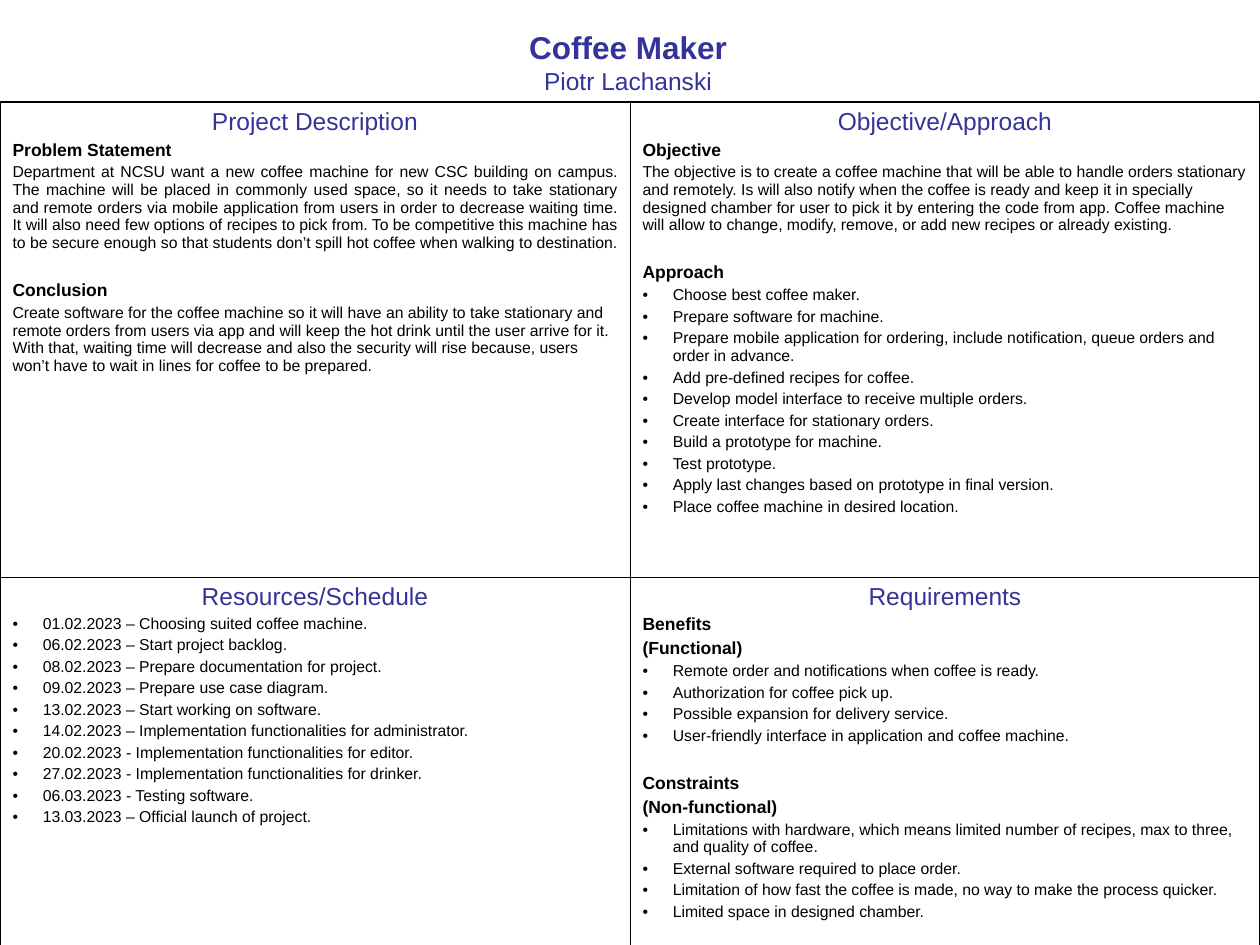
from dataclasses import dataclass

from lxml import etree
from pptx import Presentation
from pptx.dml.color import RGBColor
from pptx.enum import text as t
from pptx.oxml import ns
from pptx.util import Inches, Pt


@dataclass(frozen=True)
class Theme:
    font: str = "Arial"
    accent: str = "333399"
    ink: str = "000000"
    title: float = 18
    heading: float = 14
    label: float = 10
    body: float = 9
    label_gap: float = 2.5
    section_gap: float = 16.5
    body_gap: float = 2.2
    outer_line: float = 1.08
    inner_line: float = 0.45


THEME = Theme()

# Each quadrant is a heading and its lines, as (kind, wording).
PROJECT = ("Project Description", [
    ("label", "Problem Statement"),
    ("justified", "Department at NCSU want a new coffee machine for new CSC building on campus. "
     "The machine will be placed in commonly used space, so it needs to take stationary and "
     "remote orders via mobile application from users in order to decrease waiting time. It will "
     "also need few options of recipes to pick from. To be competitive this machine has to be "
     "secure enough so that students don’t spill hot coffee when walking to destination. "),
    ("section", "Conclusion"),
    ("body", "Create software for the coffee machine so it will have an ability to take stationary "
     "and remote orders from users via app and will keep the hot drink until the user arrive for "
     "it. With that, waiting time will decrease and also the security will rise because, users "
     "won’t have to wait in lines for coffee to be prepared."),
])
OBJECTIVE = ("Objective/Approach", [
    ("label", "Objective"),
    ("body", "The objective is to create a coffee machine that will be able to handle orders "
     "stationary and remotely. Is will also notify when the coffee is ready and keep it in "
     "specially designed chamber for user to pick it by entering the code from app. Coffee "
     "machine will allow to change, modify, remove, or add new recipes or already existing."),
    ("section", "Approach"),
    ("bullet", "Choose best coffee maker."),
    ("bullet", "Prepare software for machine."),
    ("bullet", "Prepare mobile application for ordering, include notification, queue orders and "
     "order in advance."),
    ("bullet", "Add pre-defined recipes for coffee."),
    ("bullet", "Develop model interface to receive multiple orders."),
    ("bullet", "Create interface for stationary orders."),
    ("bullet", "Build a prototype for machine."),
    ("bullet", "Test prototype."),
    ("bullet", "Apply last changes based on prototype in final version."),
    ("bullet", "Place coffee machine in desired location."),
])
SCHEDULE = ("Resources/Schedule", [
    ("bullet", "01.02.2023 – Choosing suited coffee machine."),
    ("bullet", "06.02.2023 – Start project backlog."),
    ("bullet", "08.02.2023 – Prepare documentation for project."),
    ("bullet", "09.02.2023 – Prepare use case diagram."),
    ("bullet", "13.02.2023 – Start working on software."),
    ("bullet", "14.02.2023 – Implementation functionalities for administrator."),
    ("bullet", "20.02.2023 - Implementation functionalities for editor."),
    ("bullet", "27.02.2023 - Implementation functionalities for drinker."),
    ("bullet", "06.03.2023 - Testing software."),
    ("bullet", "13.03.2023 – Official launch of project."),
])
REQUIREMENTS = ("Requirements", [
    ("label", "Benefits"),
    ("label", "(Functional)"),
    ("bullet", "Remote order and notifications when coffee is ready."),
    ("bullet", "Authorization for coffee pick up."),
    ("bullet", "Possible expansion for delivery service."),
    ("bullet", "User-friendly interface in application and coffee machine."),
    ("section", "Constraints"),
    ("label", "(Non-functional)"),
    ("bullet", "Limitations with hardware, which means limited number of recipes, max to three, "
     "and quality of coffee."),
    ("bullet", "External software required to place order."),
    ("bullet", "Limitation of how fast the coffee is made, no way to make the process quicker."),
    ("bullet", "Limited space in designed chamber."),
])
QUADRANTS = [[PROJECT, OBJECTIVE], [SCHEDULE, REQUIREMENTS]]


def write(paragraph, wording, size, color, bold=False, align=t.PP_ALIGN.LEFT):
    paragraph.alignment = align
    run = paragraph.add_run()
    run.text = wording
    run.font.name = THEME.font
    run.font.size = Pt(size)
    run.font.bold = bold
    run.font.color.rgb = RGBColor.from_string(color)


def add_bullet(paragraph):
    props = paragraph._p.get_or_add_pPr()
    indent = Inches(0.24)
    props.set("marL", str(indent))
    props.set("indent", str(-indent))
    etree.SubElement(props, ns.qn("a:buFont")).set("typeface", THEME.font)
    etree.SubElement(props, ns.qn("a:buChar")).set("char", "•")


def add_line(frame, kind, wording):
    paragraph = frame.add_paragraph()
    if kind == "bullet":
        add_bullet(paragraph)
    is_label = kind in ("label", "section")
    gaps = {"label": THEME.label_gap, "section": THEME.section_gap}
    paragraph.space_before = Pt(gaps.get(kind, THEME.body_gap))
    write(paragraph, wording, THEME.label if is_label else THEME.body, THEME.ink, is_label,
          t.PP_ALIGN.JUSTIFY if kind == "justified" else t.PP_ALIGN.LEFT)


def set_borders(cell, widths):
    """Draw the borders, with widths in points keyed by side (L, R, T, B)."""
    props = cell._tc.get_or_add_tcPr()
    for side in "LRTB":
        line = etree.SubElement(props, ns.qn(f"a:ln{side}"), w=str(Pt(widths[side])))
        fill = etree.SubElement(line, ns.qn("a:solidFill"))
        etree.SubElement(fill, ns.qn("a:srgbClr"), val=THEME.ink)


def fill_quadrant(cell, heading, lines):
    cell.margin_left = cell.margin_right = Inches(0.1)
    cell.margin_top = cell.margin_bottom = Inches(0.05)
    cell.vertical_anchor = t.MSO_ANCHOR.TOP
    frame = cell.text_frame
    write(frame.paragraphs[0], heading, THEME.heading, THEME.accent, align=t.PP_ALIGN.CENTER)
    for kind, wording in lines:
        add_line(frame, kind, wording)


def add_title(slide, left, top, width, height):
    frame = slide.shapes.add_textbox(left, top, width, height).text_frame
    frame.word_wrap = True
    frame.vertical_anchor = t.MSO_ANCHOR.MIDDLE
    write(frame.paragraphs[0], "Coffee Maker", THEME.title, THEME.accent, True,
          t.PP_ALIGN.CENTER)
    write(frame.add_paragraph(), "Piotr Lachanski", THEME.heading, THEME.accent,
          align=t.PP_ALIGN.CENTER)


def add_quad_chart(slide, left, top, width, row_heights):
    table = slide.shapes.add_table(2, 2, left, top, width, sum(row_heights)).table
    table.first_row = table.horz_banding = False
    outer, inner = THEME.outer_line, THEME.inner_line
    for r, quadrants in enumerate(QUADRANTS):
        table.rows[r].height = row_heights[r]
        for c, (heading, lines) in enumerate(quadrants):
            cell = table.cell(r, c)
            fill_quadrant(cell, heading, lines)
            set_borders(cell, {"L": inner if c else outer, "R": outer if c else inner,
                               "T": inner if r else outer, "B": outer if r else inner})
            cell.fill.background()


def main():
    deck = Presentation()
    deck.slide_width, deck.slide_height = Inches(10), Inches(7.5)
    slide = deck.slides.add_slide(deck.slide_layouts[6])
    add_title(slide, Inches(0.82), Inches(0.17), Inches(8.33), Inches(0.64))
    add_quad_chart(slide, Inches(0), Inches(0.81), deck.slide_width,
                   [Inches(3.77), Inches(2.95)])
    deck.save("out.pptx")


if __name__ == "__main__":
    main()
